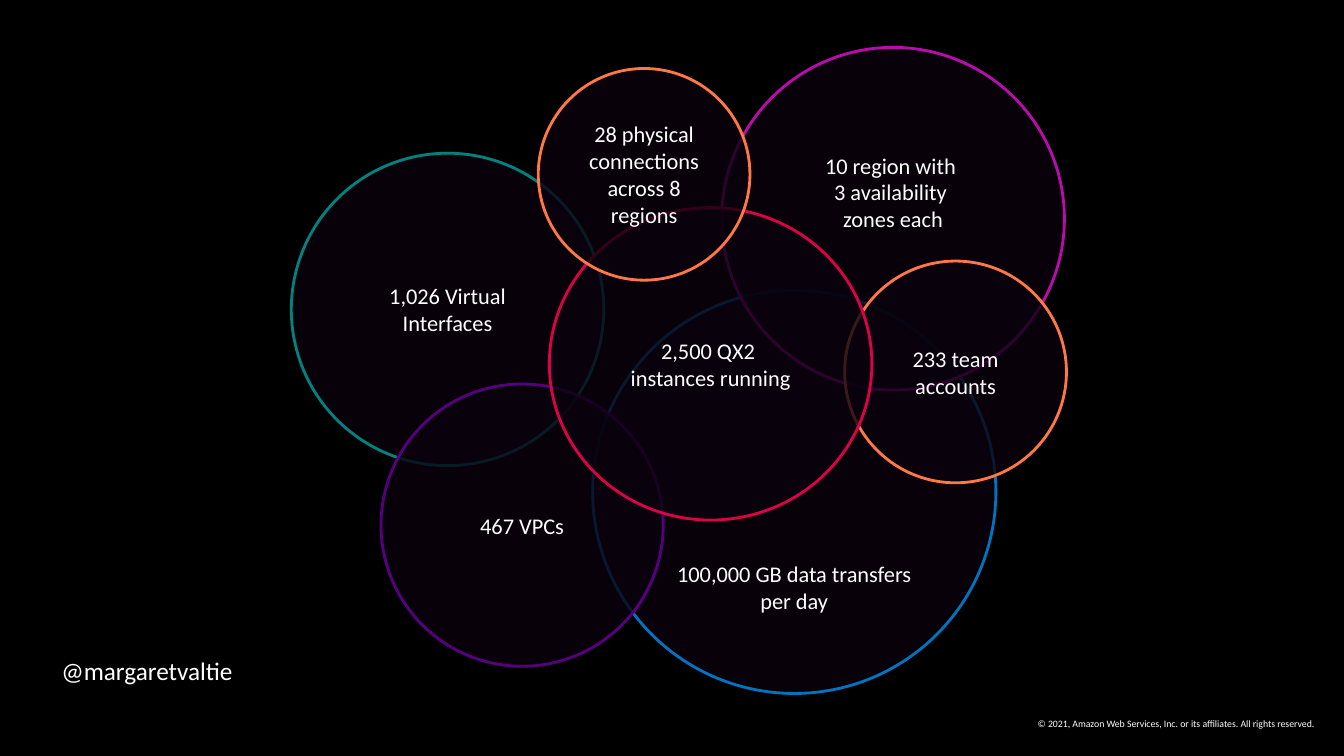
from dataclasses import dataclass

from lxml import etree
from pptx import Presentation
from pptx.dml.color import RGBColor
from pptx.enum.shapes import MSO_SHAPE
from pptx.enum.text import MSO_ANCHOR, PP_ALIGN
from pptx.oxml.ns import qn
from pptx.slide import Slide
from pptx.text.text import TextFrame
from pptx.util import Emu, Inches, Pt

OVAL = MSO_SHAPE.OVAL
MIDDLE, BOTTOM = MSO_ANCHOR.MIDDLE, MSO_ANCHOR.BOTTOM
LEFT, CENTER, RIGHT = PP_ALIGN.LEFT, PP_ALIGN.CENTER, PP_ALIGN.RIGHT

FONT = "Calibri"
COLS, ROWS = 133.33, 75
CELL = Inches(0.1)
COLORS = {
    "back": "000000", "text": "FFFFFF", "fill": "0A020D",
    "blue": "0074C1", "pink": "BB0BAF", "teal": "008380",
    "orange": "FF7846", "purple": "560080", "red": "DD0147",
}


@dataclass(frozen=True)
class Bubble:
    text: str
    color: str
    col: float
    row: float
    wide: float
    high: float
    anchor: MSO_ANCHOR = MIDDLE
    foot: float = 0.5


@dataclass(frozen=True)
class Label:
    text: str
    size: int
    align: PP_ALIGN
    col: float
    row: float
    wide: float
    high: float
    side: float
    edge: float
    wrap: bool


BUBBLES = [
    Bubble("100,000 GB data transfers per day", "blue", 58.8, 28.8, 40, 40, BOTTOM, 2),
    Bubble("10 region with \v3 availability \vzones each", "pink",
           71.6, 4.7, 34, 34, foot=5.8),
    Bubble("1,026 Virtual Interfaces", "teal", 28.9, 15.2, 31, 31),
    Bubble("233 team accounts", "orange", 83.8, 25.9, 22, 22),
    Bubble("467 VPCs", "purple", 37.8, 38.1, 28, 28),
    Bubble("2,500 QX2 \vinstances running", "red", 54.5, 20.6, 32, 31),
    Bubble("28 physical connections across 8 regions", "orange", 53.4, 6.8, 21, 21),
]
LABELS = [
    Label("© 2021, Amazon Web Services, Inc. or its affiliates. All rights reserved.",
          7, RIGHT, 87.1, 71.2, 43.3, 1.2, 0, 0, True),
    Label("@margaretvaltie", 18, LEFT, 5.1, 64.5, 21.3, 4, 1, 0.5, False),
]


def cells(count: float) -> Emu:
    return Emu(round(count * CELL))


def paint(name: str) -> RGBColor:
    return RGBColor.from_string(COLORS[name])


def style(frame: TextFrame, text: str, size: int, align: PP_ALIGN) -> None:
    frame.text = text
    for para in frame.paragraphs:
        para.alignment = align
        for run in para.runs:
            run.font.name = FONT
            run.font.size = Pt(size)
            run.font.color.rgb = paint("text")
        for gap in para._p.findall(qn("a:br")):
            etree.SubElement(gap, qn("a:rPr"), sz=str(size * 100))


def inset(frame: TextFrame, side: float, top: float, foot: float) -> None:
    frame.margin_left = frame.margin_right = cells(side)
    frame.margin_top, frame.margin_bottom = cells(top), cells(foot)


def draw_bubble(slide: Slide, item: Bubble) -> None:
    box = map(cells, (item.col, item.row, item.wide, item.high))
    shape = slide.shapes.add_shape(OVAL, *box)
    shape.shadow.inherit = False
    shape.fill.solid()
    shape.fill.fore_color.rgb = paint("fill")
    tint = shape._element.spPr.find(qn("a:solidFill"))[0]
    etree.SubElement(tint, qn("a:alpha"), val="80000")
    shape.line.color.rgb = paint(item.color)
    shape.line.width = Pt(2)
    frame = shape.text_frame
    frame.word_wrap = True
    frame.vertical_anchor = item.anchor
    inset(frame, 1, 0.5, item.foot)
    style(frame, item.text, 16, CENTER)


def draw_label(slide: Slide, item: Label) -> None:
    box = map(cells, (item.col, item.row, item.wide, item.high))
    frame = slide.shapes.add_textbox(*box).text_frame
    frame.word_wrap = item.wrap
    inset(frame, item.side, item.edge, item.edge)
    style(frame, item.text, item.size, item.align)


def main() -> None:
    deck = Presentation()
    deck.slide_width, deck.slide_height = cells(COLS), cells(ROWS)
    slide = deck.slides.add_slide(deck.slide_layouts[6])
    slide.background.fill.solid()
    slide.background.fill.fore_color.rgb = paint("back")
    for item in BUBBLES:
        draw_bubble(slide, item)
    for item in LABELS:
        draw_label(slide, item)
    deck.save("out.pptx")


if __name__ == "__main__":
    main()
